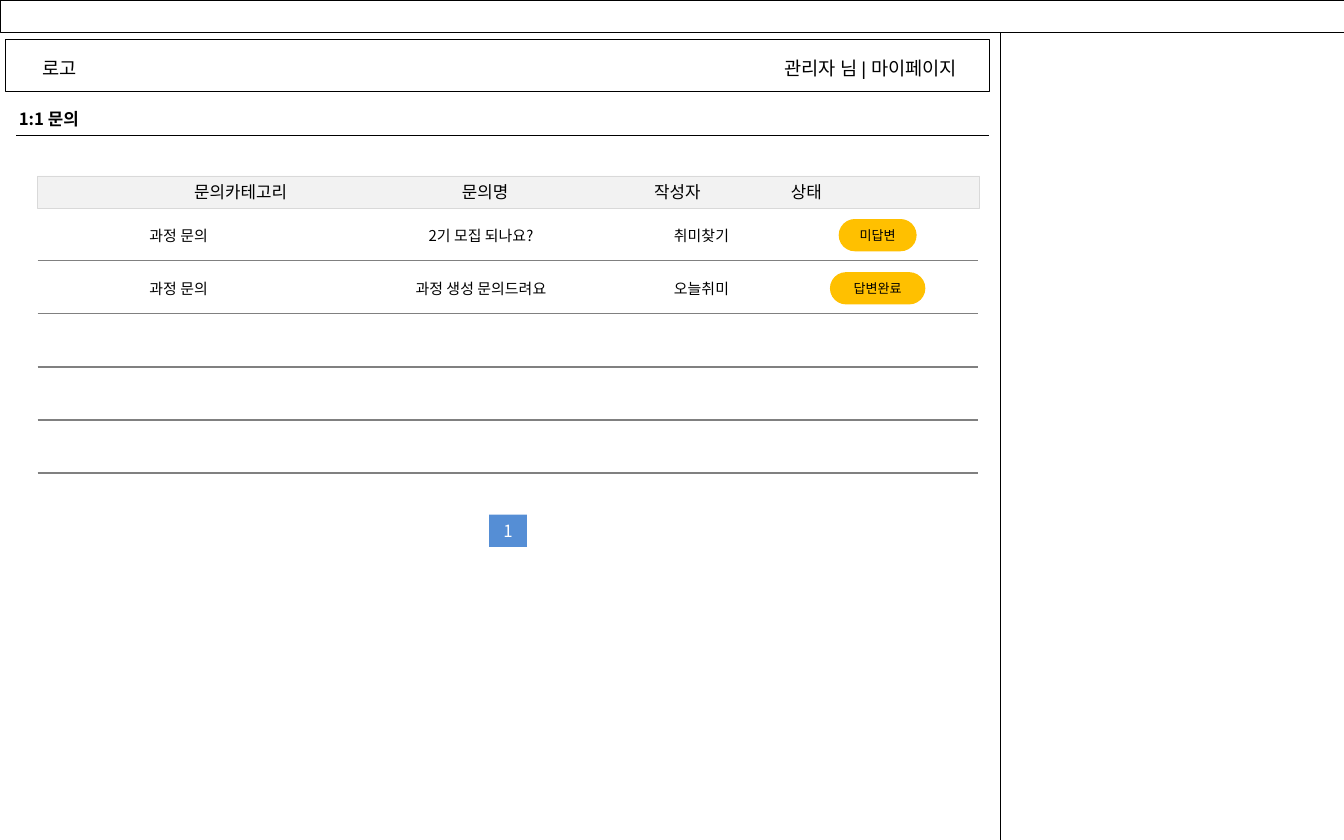
from lxml.etree import SubElement
from pptx import Presentation
from pptx.dml.color import RGBColor
from pptx.enum.shapes import MSO_CONNECTOR as Connector, MSO_SHAPE as Shape
from pptx.enum.text import MSO_ANCHOR as Anchor, MSO_AUTO_SIZE as AutoSize, PP_ALIGN as Align
from pptx.oxml.ns import qn
from pptx.util import Inches, Pt

COLORS = {
    "black": "000000", "white": "FFFFFF", "header": "F2F2F2", "border": "D9D9D9",
    "rule": "808080", "page": "558ED5", "status": "FFC000",
}
KOREAN = "Noto Sans CJK KR"


def color(name):
    return RGBColor.from_string(COLORS[name])


def write(frame, text, size=9, font=KOREAN, ink="black", bold=False, align=Align.CENTER, wrap=False):
    frame.auto_size = AutoSize.NONE
    frame.word_wrap = wrap
    frame.vertical_anchor = Anchor.MIDDLE
    para = frame.paragraphs[0]
    para.alignment = align
    span = para.add_run()
    span.text = text
    span.font.size = Pt(size)
    span.font.name = font
    span.font.bold = bold
    span.font.color.rgb = color(ink)
    SubElement(span.font._element, qn("a:ea"), typeface=KOREAN)
    return para


class Wireframe:
    def __init__(self, page):
        self.page = page

    def title(self, text, left, top, width, height):
        box = self.page.shapes.title
        box.left, box.top, box.width, box.height = map(Inches, (left, top, width, height))
        write(box.text_frame, text, bold=True, align=Align.LEFT)

    def label(self, text, left, top, width, height, **style):
        box = self.page.shapes.add_textbox(*map(Inches, (left, top, width, height)))
        write(box.text_frame, text, **style)

    def block(self, left, top, width, height, fill="white", line=None, kind=Shape.RECTANGLE):
        shape = self.page.shapes.add_shape(kind, *map(Inches, (left, top, width, height)))
        shape.shadow.inherit = False
        shape.fill.solid()
        shape.fill.fore_color.rgb = color(fill)
        if line:
            shape.line.color.rgb = color(line)
            shape.line.width = Pt(0.25)
        else:
            shape.line.fill.background()
        return shape

    def pill(self, text, center, top, width, height):
        shape = self.block(center - width / 2, top, width, height, "status", kind=Shape.ROUNDED_RECTANGLE)
        shape.adjustments[0] = 0.5
        write(shape.text_frame, text, size=7)

    def rule(self, left, right, top, ink):
        line = self.page.shapes.add_connector(
            Connector.STRAIGHT, *map(Inches, (left, top, right, top)))
        line.line.color.rgb = color(ink)
        line.line.width = Pt(0.75)
        SubElement(line._element.spPr, qn("a:effectLst"))

    def header_bar(self, headings, left, top, width, height):
        """Draw the bar; headings maps each text to the x of its centre."""
        bar = self.block(left, top, width, height, "header", "border")
        frame = bar.text_frame
        frame.margin_left = 0
        para = write(frame, "".join("\t" + text for text in headings), align=Align.LEFT, wrap=True)
        stops = SubElement(para._p.get_or_add_pPr(), qn("a:tabLst"))
        for center in headings.values():
            SubElement(stops, qn("a:tab"), pos=str(Inches(center - left)), algn="ctr")


def main():
    deck = Presentation()
    deck.slide_width, deck.slide_height = Inches(10), Inches(6.25)
    frame = Wireframe(deck.slides.add_slide(deck.slide_layouts[5]))

    for area in ((7.44, 0, 2.56, 6.25), (0, 0, 10, 0.24), (0.04, 0.29, 7.32, 0.39)):
        frame.block(*area, line="black")
    frame.label("로고", 0.2, 0.37, 0.48, 0.27, size=10, font="Arial")
    frame.label("관리자 님 | 마이페이지", 5.66, 0.37, 1.64, 0.27, size=10, font="Arial")
    frame.title("1:1 문의", 0.04, 0.76, 0.68, 0.25)
    frame.rule(0.12, 7.36, 1.01, "black")

    headings = {"문의카테고리": 1.79, "문의명": 3.61, "작성자": 5.04, "상태": 6}
    frame.header_bar(headings, 0.28, 1.31, 7.01, 0.24)

    row_height = 0.395
    for index in range(5):
        frame.rule(0.28, 7.28, 1.94 + index * row_height, "rule")

    inquiries = [
        ("과정 문의", "2기 모집 되나요?", "취미찾기", "미답변", 0.58),
        ("과정 문의", "과정 생성 문의드려요", "오늘취미", "답변완료", 0.71),
    ]
    columns = ((1.33, 0.69), (3.58, 1.34), (5.22, 0.65))
    for index, (*texts, status, pill_width) in enumerate(inquiries):
        top = 1.63 + index * row_height
        for text, (center, width) in zip(texts, columns):
            frame.label(text, center - width / 2, top, width, 0.24, size=8)
        frame.pill(status, 6.53, top, pill_width, 0.24)

    page_button = frame.block(3.64, 3.83, 0.28, 0.24, "page")
    write(page_button.text_frame, "1", ink="white")
    deck.save("out.pptx")


if __name__ == "__main__":
    main()
